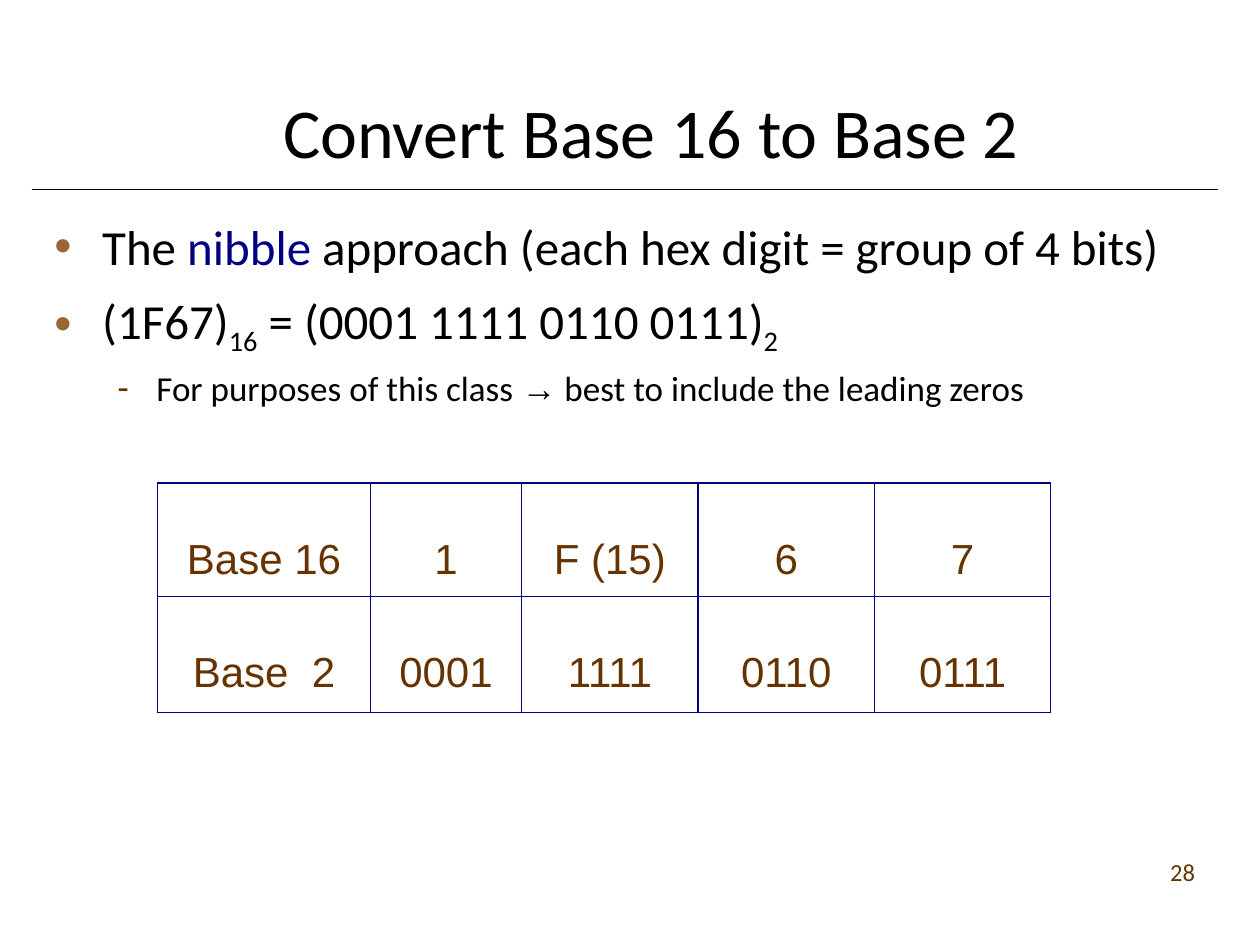
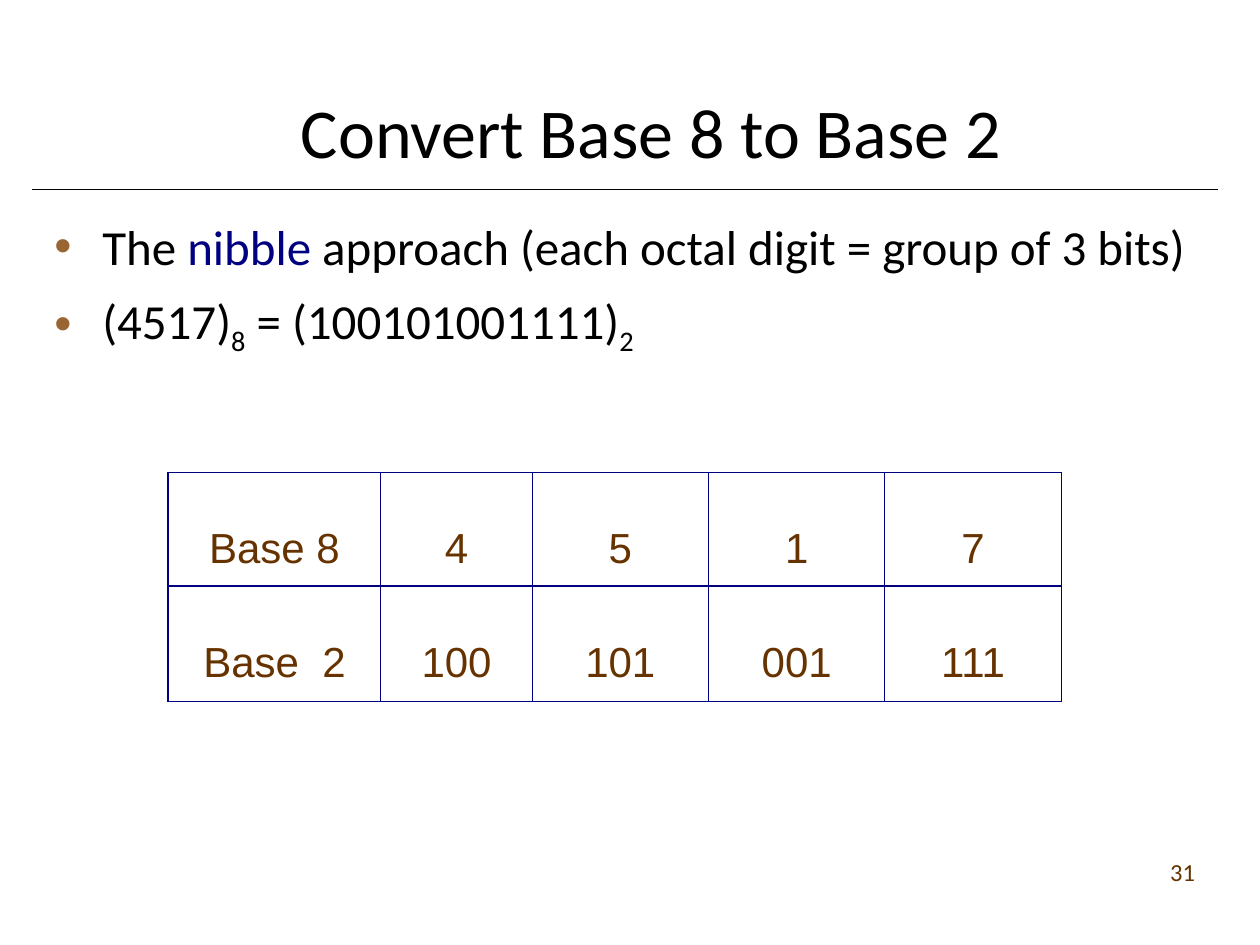
from lxml.etree import SubElement
from pptx import Presentation
from pptx.dml.color import RGBColor
from pptx.enum.shapes import MSO_CONNECTOR as CONN
from pptx.enum.text import MSO_ANCHOR as ANCHOR, PP_ALIGN as ALIGN
from pptx.oxml import parse_xml
from pptx.oxml.ns import nsdecls, qn
from pptx.util import Emu, Inches, Pt

COLORS = {"ink": "000000", "accent": "000080", "bullet": "996633", "brown": "663300"}
GRID = (120, 90)  # columns and rows across the slide

STYLES = {
    "title": {"size": 40, "name": "Calibri", "color": "ink"},
    "point": {"size": 28, "name": "Calibri", "color": "ink"},
    "note": {"size": 20, "name": "Calibri", "color": "ink"},
    "cell": {"size": 24, "name": "Arial", "color": "brown"},
    "page": {"size": 14, "name": "Calibri", "color": "brown"},
}
BULLETS = {
    "point": {"char": "•", "color": "bullet", "left": 0.38, "hang": 0.38, "before": 8.8, "level": 0},
    "note": {"char": "-", "color": "brown", "left": 0.81, "hang": 0.31, "before": 5, "level": 1},
}
ACCENT = {"color": "accent"}
SUB = {"baseline": -25000}
ARROW = {"name": "Arial"}

COLUMN_WIDTHS = (20.28, 14.4, 16.8, 16.8, 16.8)
ROW_HEIGHTS = (10.8, 11.04)

SLIDES = [
    {
        "title": "Convert Base 16 to Base 2",
        "page": "28",
        "body_width": 109,
        "body": [
            ("point", ["The ", ("nibble", ACCENT), " approach (each hex digit = group of 4 bits)"]),
            ("point", ["(1F67)", ("16", SUB), " = (0001 1111 0110 0111)", ("2", SUB)]),
            ("note", ["For purposes of this class ", ("→", ARROW),
                      " best to include the leading zeros"]),
        ],
        "table_at": (15, 46),
        "table": [["Base 16", "1", "F (15)", "6", "7"],
                  ["Base  2", "0001", "1111", "0110", "0111"]],
    },
    {
        "title": "Convert Base 8 to Base 2",
        "page": "31",
        "body_width": 111,
        "body": [
            ("point", ["The ", ("nibble", ACCENT), " approach (each octal digit = group of 3 bits)"]),
            ("point", ["(4517)", ("8", SUB), " = (100101001111)", ("2", SUB)]),
        ],
        "table_at": (16, 45),
        "table": [["Base 8", "4", "5", "1", "7"],
                  ["Base  2", "100", "101", "001", "111"]],
    },
]


class Deck:
    def __init__(self):
        self.prs = Presentation()
        self.prs.slide_width, self.prs.slide_height = Inches(10), Inches(7.5)
        self.s = None

    def x(self, cols):
        return Emu(round(self.prs.slide_width * cols / GRID[0]))

    def y(self, rows):
        return Emu(round(self.prs.slide_height * rows / GRID[1]))

    def box(self, left, top, width, height):
        return self.x(left), self.y(top), self.x(width), self.y(height)

    def new_slide(self):
        self.s = self.prs.slides.add_slide(self.prs.slide_layouts[6])

    def run(self, p, text, style):
        r = p.add_run()
        r.text = text
        for key, value in style.items():
            if key == "color":
                r.font.color.rgb = RGBColor.from_string(COLORS[value])
            elif key == "baseline":
                r._r.get_or_add_rPr().set("baseline", str(value))
            else:
                setattr(r.font, key, Pt(value) if key == "size" else value)

    def frame(self, *area, anchor=ANCHOR.TOP):
        tf = self.s.shapes.add_textbox(*self.box(*area)).text_frame
        tf.word_wrap, tf.vertical_anchor = True, anchor
        return tf

    def text(self, area, text, style, align, anchor=ANCHOR.TOP):
        p = self.frame(*area, anchor=anchor).paragraphs[0]
        p.alignment = align
        self.run(p, text, STYLES[style])

    def rule(self, left, right, row):
        c = self.s.shapes.add_connector(
            CONN.STRAIGHT, self.x(left), self.y(row), self.x(right), self.y(row))
        c.line.color.rgb = RGBColor.from_string(COLORS["ink"])
        c.line.width = Pt(0.5)
        SubElement(c._element.spPr, qn("a:effectLst"))

    def bullet(self, p, kind):
        b = BULLETS[kind]
        p.level = b["level"]
        pPr = p._p.get_or_add_pPr()
        pPr.set("marL", str(Inches(b["left"])))
        pPr.set("indent", str(-Inches(b["hang"])))
        color = SubElement(pPr, qn("a:buClr"))
        SubElement(color, qn("a:srgbClr"), val=COLORS[b["color"]])
        SubElement(pPr, qn("a:buFont"), typeface="Arial")
        SubElement(pPr, qn("a:buChar"), char=b["char"])

    def body(self, area, items):
        tf = self.frame(*area)
        for i, (kind, parts) in enumerate(items):
            p = tf.add_paragraph() if i else tf.paragraphs[0]
            self.bullet(p, kind)
            if i:
                p.space_before = Pt(BULLETS[kind]["before"])
            for part in parts:
                text, extra = (part, {}) if isinstance(part, str) else part
                self.run(p, text, STYLES[kind] | extra)

    def borders(self, cell):
        tcPr = cell._tc.get_or_add_tcPr()
        for i, side in enumerate(("lnL", "lnR", "lnT", "lnB")):
            tcPr.insert(i, parse_xml(
                f'<a:{side} {nsdecls("a")} w="{Pt(0.75)}"><a:solidFill>'
                f'<a:srgbClr val="{COLORS["accent"]}"/></a:solidFill></a:{side}>'))

    def table(self, at, rows):
        area = self.box(*at, sum(COLUMN_WIDTHS), sum(ROW_HEIGHTS))
        table = self.s.shapes.add_table(len(rows), len(rows[0]), *area).table
        table.first_row = table.horz_banding = False
        for column, width in zip(table.columns, COLUMN_WIDTHS):
            column.width = self.x(width)
        for row, height, texts in zip(table.rows, ROW_HEIGHTS, rows):
            row.height = self.y(height)
            for cell, text in zip(row.cells, texts):
                cell.fill.background()
                self.borders(cell)
                p = cell.text_frame.paragraphs[0]
                p.alignment, p.line_spacing = ALIGN.CENTER, 2.0
                self.run(p, text, STYLES["cell"])


def main():
    deck = Deck()
    for content in SLIDES:
        deck.new_slide()
        deck.rule(3, 116, 18)
        deck.text((10, 2, 104, 15), content["title"], "title", ALIGN.CENTER, ANCHOR.BOTTOM)
        deck.body((4, 20, content["body_width"], 59.4), content["body"])
        deck.table(content["table_at"], content["table"])
        deck.text((90, 81, 25, 6), content["page"], "page", ALIGN.RIGHT)
    deck.prs.save("out.pptx")


if __name__ == "__main__":
    main()
